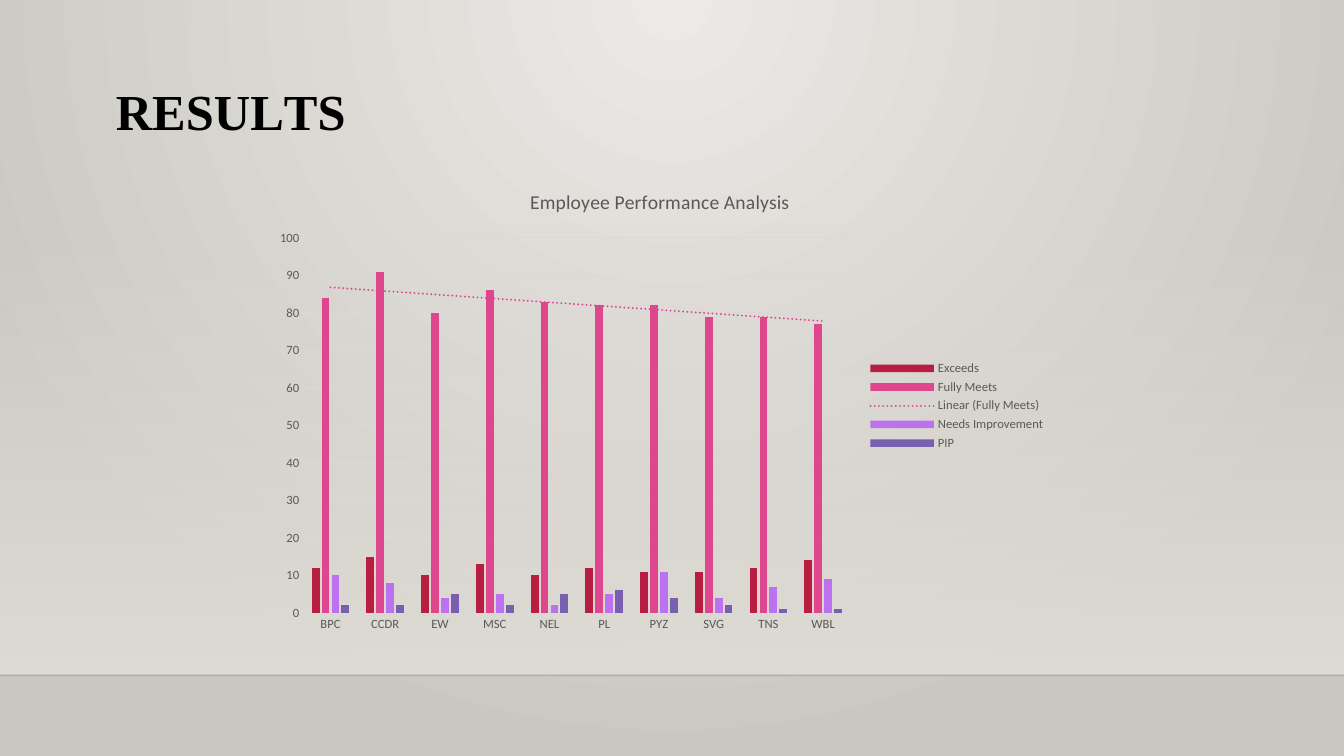
"""Build the results slide with the employee performance chart."""
from dataclasses import dataclass
from typing import Any

import lxml.etree
import pptx
import pptx.chart.data
import pptx.dml.color
import pptx.enum.chart
import pptx.enum.shapes
import pptx.enum.text
import pptx.oxml
import pptx.oxml.ns
import pptx.util

Inches = pptx.util.Inches
Pt = pptx.util.Pt
qn = pptx.oxml.ns.qn
GRAY = "595959"
GRID = "D9D9D9"
CATEGORIES = ["BPC", "CCDR", "EW", "MSC", "NEL", "PL", "PYZ", "SVG", "TNS", "WBL"]


@dataclass(frozen=True)
class Rating:
    name: str
    values: tuple[int, ...]
    color: str
    trend: bool = False


@dataclass(frozen=True)
class Letters:
    text: str
    spacing: float


RATINGS = [
    Rating("Exceeds", (12, 15, 10, 13, 10, 12, 11, 11, 12, 14), "B71E42"),
    Rating("Fully Meets", (84, 91, 80, 86, 83, 82, 82, 79, 79, 77), "DE478E", True),
    Rating("Needs Improvement", (10, 8, 4, 5, 2, 5, 11, 4, 7, 9), "BC72F0"),
    Rating("PIP", (2, 2, 5, 2, 5, 6, 4, 2, 1, 1), "795FAF"),
]
HEADING = [Letters("R", 0), Letters("E", -0.4), Letters("S", 0.1),
           Letters("U", -0.3), Letters("L", -4), Letters("TS", 0)]


def rgb(color: str) -> pptx.dml.color.RGBColor:
    """Turn a hex string into a colour."""
    return pptx.dml.color.RGBColor.from_string(color)


def apply(target: Any, values: dict[str, Any]) -> None:
    """Set each attribute of the target from the dict."""
    for name, value in values.items():
        setattr(target, name, value)


def style_font(font: Any, size: float, color: str, name: str = "Calibri", bold: bool = False) -> None:
    """Format a font."""
    apply(font, {"size": Pt(size), "name": name, "bold": bold})
    font.color.rgb = rgb(color)


def set_gradient(fill: Any, colors: list[str]) -> None:
    """Apply a gradient with one stop per colour."""
    fill.gradient()
    for stop, color in zip(fill.gradient_stops, colors):
        stop.color.rgb = rgb(color)


def set_alpha(color_element: Any, percent: int) -> None:
    """Set the opacity of a colour element."""
    lxml.etree.SubElement(color_element, qn("a:alpha"), val=str(percent * 1000))


def draw_background(slide: Any) -> None:
    """Draw the radial background, the floor fade and the floor line."""
    set_gradient(slide.background.fill, ["ECEAE7", "CAC7C1"])
    gradient = next(slide.element.iter(qn("a:gradFill")))
    gradient.remove(gradient.find(qn("a:lin")))
    circle = lxml.etree.SubElement(gradient, qn("a:path"), {"path": "circle"})
    lxml.etree.SubElement(circle, qn("a:fillToRect"), l="43000", r="43000", b="100000")

    fade = slide.shapes.add_shape(pptx.enum.shapes.MSO_SHAPE.RECTANGLE,
                                  0, Inches(2.21), Inches(13.33), Inches(4.49))
    fade.shadow.inherit = False
    fade.line.fill.background()
    set_gradient(fade.fill, ["DFDBD5", "DFDBD5"])
    fade.fill.gradient_angle = 270
    set_alpha(next(fade.element.iter(qn("a:srgbClr"))), 0)

    floor = slide.shapes.add_connector(pptx.enum.shapes.MSO_CONNECTOR.STRAIGHT,
                                       0, Inches(6.7), Inches(13.33), Inches(6.7))
    floor.line.width = Pt(1)
    floor.line.color.rgb = rgb("000001")
    set_alpha(next(floor.element.iter(qn("a:srgbClr"))), 20)
    lxml.etree.SubElement(floor.element.spPr, qn("a:effectLst"))


def draw_heading(slide: Any) -> None:
    """Write the heading with its letter spacing."""
    box = slide.shapes.add_textbox(Inches(1.05), Inches(0.67), Inches(8.97), Inches(0.71))
    apply(box.text_frame, {
        "word_wrap": True, "margin_top": Inches(0.12), "margin_bottom": 0,
        "auto_size": pptx.enum.text.MSO_AUTO_SIZE.SHAPE_TO_FIT_TEXT,
    })
    paragraph = box.text_frame.paragraphs[0]
    for letters in HEADING:
        run = paragraph.add_run()
        run.text = letters.text
        style_font(run.font, 36, "000000", "Times New Roman", True)
        run.font._element.set("spc", str(round(letters.spacing * 100)))


def add_trend_line(series: Any, color: str) -> None:
    """Add a dotted linear trend line to the series."""
    namespaces = pptx.oxml.ns.nsdecls("c", "a")
    trend = pptx.oxml.parse_xml(
        f'<c:trendline {namespaces}><c:spPr><a:ln w="{Pt(1.5)}" cap="rnd">'
        f'<a:solidFill><a:srgbClr val="{color}"/></a:solidFill><a:prstDash val="sysDot"/>'
        '</a:ln></c:spPr><c:trendlineType val="linear"/><c:dispRSqr val="0"/>'
        '<c:dispEq val="0"/></c:trendline>')
    series._element.find(qn("c:cat")).addprevious(trend)


def draw_chart(slide: Any) -> None:
    """Draw the clustered columns of the ratings."""
    data = pptx.chart.data.CategoryChartData()
    data.categories = CATEGORIES
    for rating in RATINGS:
        data.add_series(rating.name, rating.values)
    chart = slide.shapes.add_chart(
        pptx.enum.chart.XL_CHART_TYPE.COLUMN_CLUSTERED,
        Inches(2.62), Inches(1.69), Inches(7.85), Inches(4.67), data).chart
    style_font(chart.font, 10, "000000")
    chart.has_title = True
    title = chart.chart_title.text_frame
    title.text = "Employee Performance Analysis"
    style_font(title.paragraphs[0].runs[0].font, 14, GRAY)
    chart.has_legend = True
    apply(chart.legend, {"position": pptx.enum.chart.XL_LEGEND_POSITION.RIGHT,
                         "include_in_layout": False})
    style_font(chart.legend.font, 9, GRAY)

    for axis in (chart.category_axis, chart.value_axis):
        apply(axis, {"major_tick_mark": pptx.enum.chart.XL_TICK_MARK.NONE,
                     "minor_tick_mark": pptx.enum.chart.XL_TICK_MARK.NONE})
        style_font(axis.tick_labels.font, 9, GRAY)
    apply(chart.value_axis, {"minimum_scale": 0, "maximum_scale": 100,
                             "major_unit": 10, "has_major_gridlines": True})
    chart.value_axis.format.line.fill.background()
    for line in (chart.category_axis.format.line, chart.value_axis.major_gridlines.format.line):
        line.width = Pt(0.75)
        line.color.rgb = rgb(GRID)

    plot = chart.plots[0]
    apply(plot, {"gap_width": 219, "overlap": -27, "vary_by_categories": False})
    for series, rating in zip(plot.series, RATINGS):
        series.format.fill.solid()
        series.format.fill.fore_color.rgb = rgb(rating.color)
        if rating.trend:
            add_trend_line(series, rating.color)


def main() -> None:
    """Build and save the presentation."""
    presentation = pptx.Presentation()
    apply(presentation, {"slide_width": Inches(13.33), "slide_height": Inches(7.5)})
    slide = presentation.slides.add_slide(presentation.slide_layouts[6])
    draw_background(slide)
    draw_heading(slide)
    draw_chart(slide)
    presentation.save("out.pptx")


if __name__ == "__main__":
    main()
